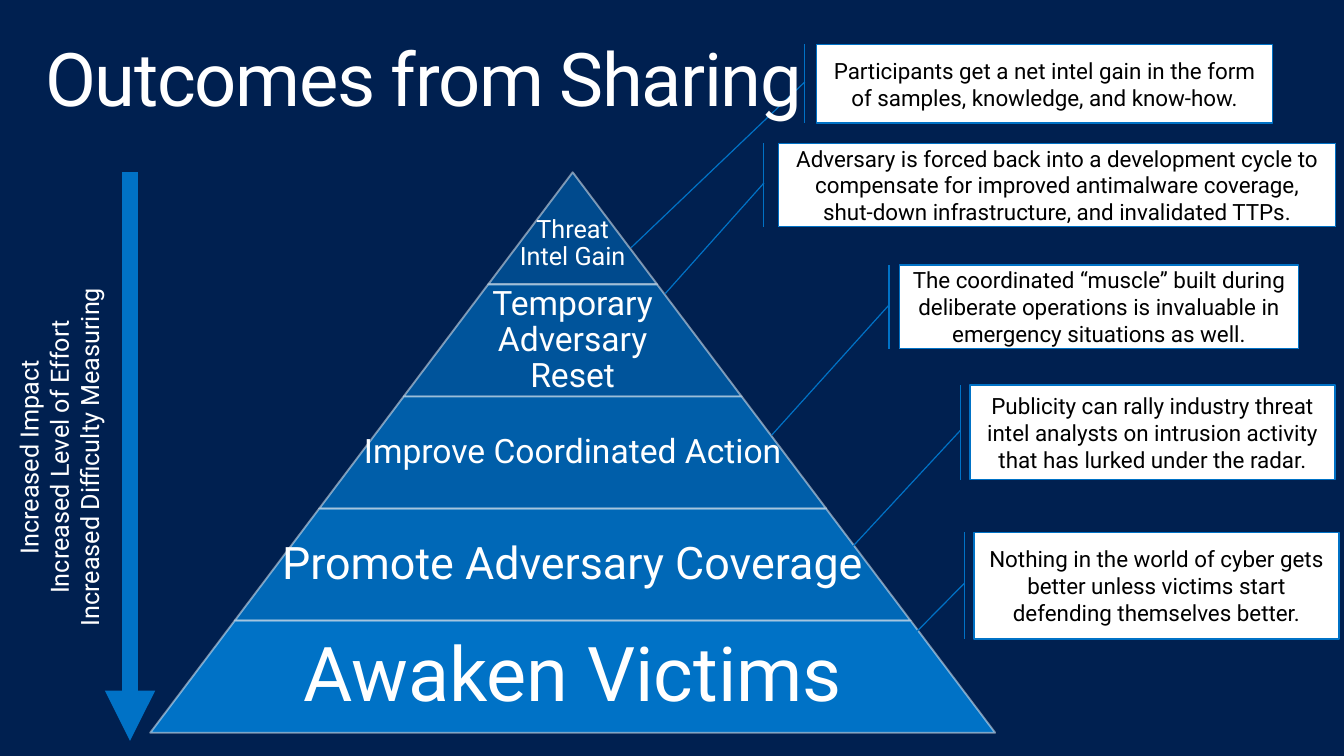
from dataclasses import dataclass

from lxml.etree import SubElement
from pptx import Presentation
from pptx.dml.color import RGBColor
from pptx.enum.shapes import MSO_CONNECTOR, MSO_SHAPE
from pptx.enum.text import MSO_ANCHOR, MSO_AUTO_SIZE, PP_ALIGN
from pptx.oxml.ns import qn
from pptx.util import Inches, Pt


@dataclass(frozen=True)
class Theme:
    font: str = "Roboto"
    navy: str = "002050"
    blue: str = "0072C6"
    white: str = "FFFFFF"
    outline: str = "F9F9F9"
    black: str = "000000"
    title_size: float = 52.9
    note_size: float = 16
    label_size: float = 18


# Pyramid tiers from the top: label, type size, insets (left, top, right, bottom)
TIERS = [
    ("Threat Intel Gain", 18, (0.28, 0.3, 0.28, 0)),
    ("Temporary Adversary Reset", 24, (0.5, 0, 0.5, 0)),
    ("Improve Coordinated Action", 24, (0, 0, 0, 0)),
    ("Promote Adversary Coverage", 32, (0, 0, 0, 0)),
    ("Awaken Victims", 54, (0, 0, 0, 0)),
]
APEX_X, APEX_Y = 5.68, 1.71
HALF_STEP, TIER_HEIGHT = 4.19 / len(TIERS), 5.56 / len(TIERS)

# Callouts: place (left, top, width, height), pointer tip (down, across), text
CALLOUTS = [
    ((8.1, 0.44, 4.52, 0.78), (2.585, -0.407),
     "Participants get a net intel gain in the form of samples, knowledge, and know-how."),
    ((7.72, 1.42, 5.53, 0.83), (1.8, -0.203),
     "Adversary is forced back into a development cycle to compensate for improved "
     "antimalware coverage, shut-down infrastructure, and invalidated TTPs."),
    ((8.92, 2.63, 3.96, 0.83), (2.035, -0.32),
     "The coordinated “muscle” built during deliberate operations is invaluable in "
     "emergency situations as well."),
    ((9.62, 3.82, 3.62, 0.94), (1.699, -0.32),
     "Publicity can rally industry threat intel analysts on intrusion activity that "
     "has lurked under the radar."),
    ((9.66, 5.28, 3.62, 1.06), (0.955, -0.164),
     "Nothing in the world of cyber gets better unless victims start defending "
     "themselves better."),
]

EFFORT_LABELS = ["Increased Impact", "Increased Level of Effort",
                 "Increased Difficulty Measuring"]


class SlideBuilder:
    def __init__(self, page, theme):
        self.page = page
        self.theme = theme
        self.paint(page.background.fill, theme.navy)

    def paint(self, target, color, opacity=100):
        """Give a fill a solid colour, with transparency if wanted."""
        target.solid()
        target.fore_color.rgb = RGBColor.from_string(color)
        if opacity < 100:
            node = target._xPr.find(qn("a:solidFill"))[0]
            SubElement(node, qn("a:alpha"), val=str(opacity * 1000))

    def set_text(self, shape, text, size, color, align=PP_ALIGN.CENTER, spacing=None,
                 insets=None):
        frame = shape.text_frame
        frame.word_wrap = True
        frame.text = text
        if insets:
            (frame.margin_left, frame.margin_top,
             frame.margin_right, frame.margin_bottom) = map(Inches, insets)
        for para in frame.paragraphs:
            para.alignment = align
            para.line_spacing = spacing
            for span in para.runs:
                span.font.name = self.theme.font
                span.font.size = Pt(size)
                span.font.color.rgb = RGBColor.from_string(color)
        return frame

    def title(self, text):
        box = self.page.shapes.add_textbox(*map(Inches, (0.29, 0.32, 12.75, 0.98)))
        frame = self.set_text(box, text, self.theme.title_size, self.theme.white,
                              PP_ALIGN.LEFT, 0.9, (0.16, 0.1, 0.16, 0.1))
        frame.paragraphs[0].runs[0]._r.get_or_add_rPr().set("spc", "-100")

    def tier(self, index, label, size, insets):
        top = APEX_Y + index * TIER_HEIGHT
        bottom = top + TIER_HEIGHT
        upper, lower = index * HALF_STEP, (index + 1) * HALF_STEP
        corners = [(APEX_X - upper, top), (APEX_X + upper, top),
                   (APEX_X + lower, bottom)]
        outline = self.page.shapes.build_freeform(
            Inches(APEX_X - lower), Inches(bottom))
        outline.add_line_segments([(Inches(x), Inches(y)) for x, y in corners])
        shape = outline.convert_to_shape()
        shape.shadow.inherit = False
        self.paint(shape.fill, self.theme.blue, 52 + 12 * index)
        self.paint(shape.line.fill, self.theme.outline, 50)
        shape.line.width = Pt(1.35)
        frame = self.set_text(shape, label, size, self.theme.white,
                              spacing=0.9, insets=insets)
        frame.vertical_anchor = MSO_ANCHOR.MIDDLE

    def side_label(self, lines):
        box = self.page.shapes.add_textbox(*map(Inches, (-1.19, 4.03, 3.56, 1.01)))
        box.rotation = 270
        frame = self.set_text(box, "\n".join(lines), self.theme.label_size,
                              self.theme.white)
        frame.word_wrap = False
        frame.auto_size = MSO_AUTO_SIZE.SHAPE_TO_FIT_TEXT

    def arrow(self, x, top, bottom):
        arrow = self.page.shapes.add_connector(
            MSO_CONNECTOR.STRAIGHT, *map(Inches, (x, top, x, bottom)))
        self.paint(arrow.line.fill, self.theme.blue)
        arrow.line.width = Pt(12)
        SubElement(arrow.line._get_or_add_ln(), qn("a:tailEnd"), type="triangle")
        SubElement(arrow._element.spPr, qn("a:effectLst"))

    def callout(self, place, tip, text):
        shape = self.page.shapes.add_shape(
            MSO_SHAPE.LINE_CALLOUT_1_BORDER_AND_ACCENT_BAR, *map(Inches, place))
        for index, value in enumerate((0.478, -0.026, *tip)):
            shape.adjustments[index] = value
        shape.shadow.inherit = False
        self.paint(shape.fill, self.theme.white)
        self.paint(shape.line.fill, self.theme.blue)
        shape.line.width = Pt(0.85)
        frame = self.set_text(shape, text, self.theme.note_size, self.theme.black)
        frame.vertical_anchor = MSO_ANCHOR.MIDDLE


def main():
    deck = Presentation()
    deck.slide_width, deck.slide_height = Inches(13.33), Inches(7.5)
    builder = SlideBuilder(deck.slides.add_slide(deck.slide_layouts[6]), Theme())

    # Pyramid
    for index, (label, size, insets) in enumerate(TIERS):
        builder.tier(index, label, size, insets)

    # Effort scale on the left
    builder.side_label(EFFORT_LABELS)
    builder.arrow(1.29, APEX_Y, 7.35)

    # Explanations on the right
    for place, tip, text in CALLOUTS:
        builder.callout(place, tip, text)

    builder.title("Outcomes from Sharing")
    deck.save("out.pptx")


if __name__ == "__main__":
    main()
